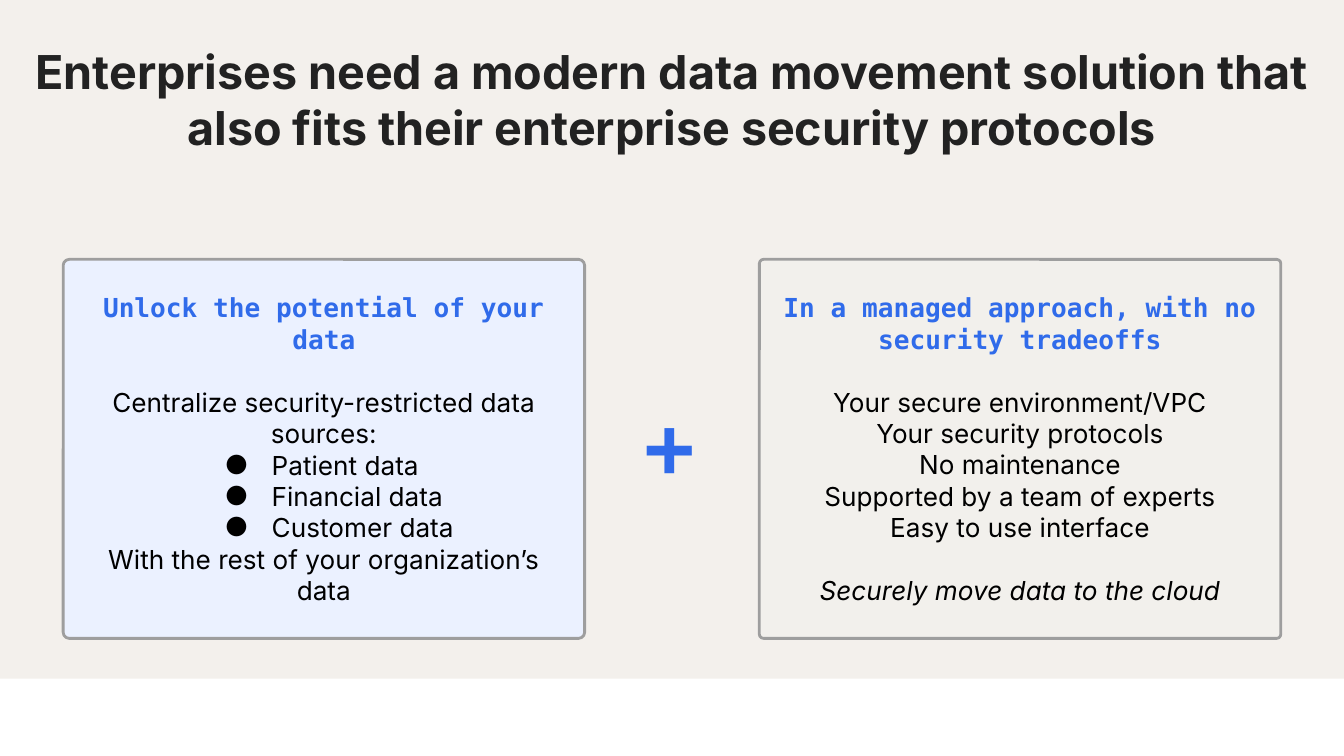
from dataclasses import dataclass

from lxml import etree
from pptx import Presentation
from pptx import util as u
from pptx.dml.color import RGBColor
from pptx.enum import shapes, text
from pptx.oxml.ns import qn

WIDTH = 10
HEIGHT = WIDTH * 9 / 16
COLORS = {
    "band": "F3F0EC", "title": "222222", "accent": "306BEA", "body": "000000",
    "border": "9E9E9E", "blue_card": "EBF1FF", "plain_card": "F2F0EC",
}
SANS, MONO = "Inter", "DejaVu Sans Mono"

# Two cards in mirrored columns, as shares of the slide
MARGIN, CARD_WIDTH = 0.047, 0.388
CARD_TOP, CARD_HEIGHT = 1.93 / HEIGHT, 2.82 / HEIGHT
BLANK_LINE = 17  # points, one body line


@dataclass(frozen=True)
class Area:
    """A rectangle in shares of the slide's width and height."""
    left: float
    top: float
    width: float
    height: float

    def lengths(self) -> list[int]:
        return [u.Inches(self.left * WIDTH), u.Inches(self.top * HEIGHT),
                u.Inches(self.width * WIDTH), u.Inches(self.height * HEIGHT)]


@dataclass(frozen=True)
class Line:
    words: str
    size: float = 14
    font: str = SANS
    color: str = "body"
    bold: bool = False
    italic: bool = False
    bullet: bool = False
    gap: float = 0


@dataclass(frozen=True)
class Card:
    left: float
    fill: str
    rounding: float
    lines: tuple[Line, ...]


def heading(words: str) -> Line:
    return Line(words, font=MONO, color="accent", bold=True)


CARDS = (
    Card(1 - MARGIN - CARD_WIDTH, "plain_card", 0.011, (
        heading("In a managed approach, with no security tradeoffs"),
        Line("Your secure environment/VPC", gap=BLANK_LINE),
        Line("Your security protocols"),
        Line("No maintenance"),
        Line("Supported by a team of experts"),
        Line("Easy to use interface"),
        Line("Securely move data to the cloud", italic=True, gap=BLANK_LINE),
    )),
    Card(MARGIN, "blue_card", 0.016, (
        heading("Unlock the potential of your data"),
        Line("Centralize security-restricted data sources:", gap=BLANK_LINE),
        Line("Patient data", bullet=True),
        Line("Financial data", bullet=True),
        Line("Customer data", bullet=True),
        Line("With the rest of your organization’s data"),
    )),
)


def rgb(name: str) -> RGBColor:
    return RGBColor.from_string(COLORS[name])


def add_bullet(para) -> None:
    properties = para._p.get_or_add_pPr()
    properties.set("marL", str(u.Inches(1.44)))
    properties.set("indent", str(u.Inches(-0.35)))
    color = etree.SubElement(properties, qn("a:buClr"))
    etree.SubElement(color, qn("a:srgbClr"), val=COLORS["body"])
    etree.SubElement(properties, qn("a:buFont"), typeface=SANS)
    etree.SubElement(properties, qn("a:buChar"), char="●")


def write(box, lines: tuple[Line, ...], inset: float, anchor) -> None:
    frame = box.text_frame
    frame.word_wrap = True
    frame.vertical_anchor = anchor
    frame.margin_left = frame.margin_right = u.Inches(inset)
    frame.margin_top = frame.margin_bottom = u.Inches(inset)
    for index, line in enumerate(lines):
        para = frame.add_paragraph() if index else frame.paragraphs[0]
        para.alignment = text.PP_ALIGN.LEFT if line.bullet else text.PP_ALIGN.CENTER
        if line.gap:
            para.space_before = u.Pt(line.gap)
        if line.bullet:
            add_bullet(para)
        span = para.add_run()
        span.text = line.words
        span.font.size = u.Pt(line.size)
        span.font.name = line.font
        span.font.bold = line.bold
        span.font.italic = line.italic
        span.font.color.rgb = rgb(line.color)


def add_panel(page, kind, area: Area, fill: str):
    panel = page.shapes.add_shape(kind, *area.lengths())
    panel.shadow.inherit = False
    panel.fill.solid()
    panel.fill.fore_color.rgb = rgb(fill)
    panel.line.fill.background()
    return panel


def add_card(page, card: Card) -> None:
    area = Area(card.left, CARD_TOP, CARD_WIDTH, CARD_HEIGHT)
    box = add_panel(page, shapes.MSO_SHAPE.ROUNDED_RECTANGLE, area, card.fill)
    box.adjustments[0] = card.rounding
    box.line.color.rgb = rgb("border")
    box.line.width = u.Pt(1.5)
    write(box, card.lines, 0.1, text.MSO_ANCHOR.MIDDLE)


def add_label(page, area: Area, line: Line, inset: float) -> None:
    box = page.shapes.add_textbox(*area.lengths())
    write(box, (line,), inset, text.MSO_ANCHOR.TOP)


def main() -> None:
    deck = Presentation()
    deck.slide_width, deck.slide_height = u.Inches(WIDTH), u.Inches(HEIGHT)
    page = deck.slides.add_slide(deck.slide_layouts[6])

    # Background band
    add_panel(page, shapes.MSO_SHAPE.RECTANGLE, Area(0, 0, 1, 5.05 / HEIGHT), "band")

    # Title
    add_label(page, Area(0.02, 0.32 / HEIGHT, 0.96, 1.12 / HEIGHT), Line(
        "Enterprises need a modern data movement solution that also fits their "
        "enterprise security protocols", size=25, color="title", bold=True), 0)

    # Cards and the plus sign between them
    for card in CARDS:
        add_card(page, card)
    add_label(page, Area(0.47, 2.83 / HEIGHT, 0.045, 0.96 / HEIGHT),
              Line("+", size=45, font=MONO, color="accent", bold=True), 0.1)

    deck.save("out.pptx")


if __name__ == "__main__":
    main()
